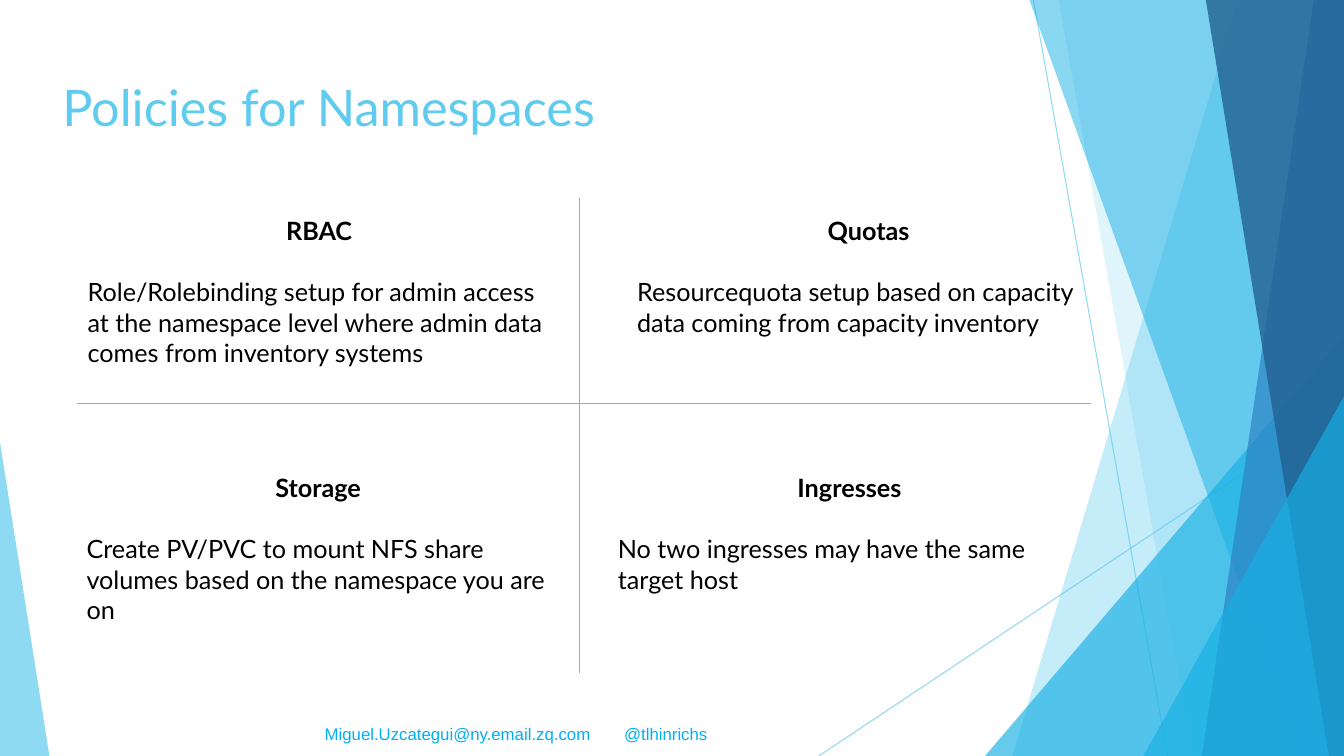
"""Build the slide on policies for namespaces."""
from dataclasses import dataclass

from lxml import etree
from pptx import Presentation
from pptx.dml.color import RGBColor
from pptx.enum.shapes import MSO_CONNECTOR, MSO_SHAPE
from pptx.enum.text import PP_ALIGN
from pptx.oxml.ns import qn
from pptx.util import Emu, Pt

PX = 9144
WIDTH, HEIGHT = 1333, 750
STRAIGHT = MSO_CONNECTOR.STRAIGHT
TRIANGLE = MSO_SHAPE.ISOSCELES_TRIANGLE
LEFT, CENTER = PP_ALIGN.LEFT, PP_ALIGN.CENTER
SKY, AZURE, BLUE, NAVY = "5FCBEF", "17B0E4", "2E83C3", "226292"
BLACK, GREY, FOOTER_BLUE = "000000", "A6A6A6", "00B0F0"


@dataclass(frozen=True)
class Line:
    start: tuple[int, int]
    end: tuple[int, int]
    color: str
    opacity: int = 100


@dataclass(frozen=True)
class Band:
    top_x: int
    bottom_x: int
    color: str
    opacity: int


@dataclass(frozen=True)
class Wedge:
    left: int
    top: int
    width: int
    apex: int
    color: str
    opacity: int


@dataclass(frozen=True)
class Policy:
    left: int
    top: int
    height: int
    heading: str
    detail: str


BACKDROP_LINES = [
    Line((1025, 0), (1158, HEIGHT), SKY, 70),
    Line((WIDTH, 403), (812, HEIGHT), SKY, 70),
]
FACETS = [
    Band(1228, 1004, SKY, 36),
    Band(1050, 1183, SKY, 20),
    Wedge(977, 333, 356, 1, AZURE, 66),
    Band(1021, 1291, AZURE, 50),
    Band(1303, 1192, BLUE, 70),
    Band(1196, 1318, NAVY, 80),
    Wedge(1134, 393, 199, 1, AZURE, 66),
    Wedge(0, 439, 49, 0, SKY, 70),
]
POLICIES = [
    Policy(77, 209, 162, "RBAC",
           "Role/Rolebinding setup for admin access at the namespace level "
           "where admin data comes from inventory systems"),
    Policy(622, 209, 131, "Quotas",
           "Resourcequota setup based on capacity data coming from capacity inventory"),
    Policy(76, 464, 162, "Storage",
           "Create PV/PVC to mount NFS share volumes based on the namespace you are on"),
    Policy(603, 464, 131, "Ingresses",
           "No two ingresses may have the same target host"),
]
DIVIDERS = [
    Line((575, 196), (575, 668), GREY),
    Line((76, 400), (1082, 400), GREY),
]


def px(length: int) -> Emu:
    """Turn px into EMU."""
    return Emu(length * PX)


def paint(fill, color: str, opacity: int = 100) -> None:
    """Make a fill solid in a hex colour with the given opacity."""
    fill.solid()
    fill.fore_color.rgb = RGBColor.from_string(color)
    if opacity < 100:
        for node in fill._xPr.iter(qn("a:srgbClr")):
            etree.SubElement(node, qn("a:alpha"), val=str(opacity * 1000))


def draw_line(page, line: Line) -> None:
    """Draw a thin straight line without a shadow."""
    connector = page.shapes.add_connector(
        STRAIGHT, *(px(value) for value in line.start + line.end))
    connector.line.width = Pt(0.75)
    paint(connector.line.fill, line.color, line.opacity)
    etree.SubElement(connector._element.spPr, qn("a:effectLst"))


def draw_facet(page, facet: Band | Wedge) -> None:
    """Draw one translucent facet of the backdrop."""
    if isinstance(facet, Band):
        builder = page.shapes.build_freeform(facet.top_x, 0, scale=float(PX))
        builder.add_line_segments(
            [(WIDTH, 0), (WIDTH, HEIGHT), (facet.bottom_x, HEIGHT)], close=True)
        shape = builder.convert_to_shape()
    else:
        shape = page.shapes.add_shape(
            TRIANGLE, px(facet.left), px(facet.top),
            px(facet.width), px(HEIGHT - facet.top))
        shape.adjustments[0] = facet.apex
    shape.shadow.inherit = False
    shape.line.fill.background()
    paint(shape.fill, facet.color, facet.opacity)


def add_box(page, left: int, top: int, width: int, height: int):
    """Add a wrapping text box and return its text frame."""
    box = page.shapes.add_textbox(px(left), px(top), px(width), px(height))
    box.text_frame.word_wrap = True
    return box.text_frame


def write(para, text: str, *, size: int = 18, color: str = BLACK,
          font: str = "Lato", bold: bool = False, align=LEFT,
          before: int = 0) -> None:
    """Write formatted text into a paragraph."""
    para.alignment = align
    if before:
        para.space_before = Pt(before)
    span = para.add_run()
    span.text = text
    span.font.size = Pt(size)
    span.font.name = font
    span.font.bold = bold
    span.font.color.rgb = RGBColor.from_string(color)


def draw_policy(page, policy: Policy) -> None:
    """Draw a centred heading with its explanation below."""
    frame = add_box(page, policy.left, policy.top, 479, policy.height)
    write(frame.paragraphs[0], policy.heading, bold=True, align=CENTER)
    write(frame.add_paragraph(), policy.detail, before=22)


def draw_footer(page) -> None:
    """Draw the two contacts, the second at a tab stop."""
    frame = add_box(page, 43, 713, 939, 30)
    frame.margin_left = px(279)
    para = frame.paragraphs[0]
    stops = etree.SubElement(para._p.get_or_add_pPr(), qn("a:tabLst"))
    etree.SubElement(stops, qn("a:tab"), pos=str(px(297)), algn="l")
    write(para, "Miguel.Uzcategui@ny.email.zq.com\t@tlhinrichs",
          size=12, color=FOOTER_BLUE, font="Arial")


def main() -> None:
    """Assemble and save the deck."""
    deck = Presentation()
    deck.slide_width, deck.slide_height = px(WIDTH), px(HEIGHT)
    page = deck.slides.add_slide(deck.slide_layouts[6])
    for line in BACKDROP_LINES:
        draw_line(page, line)
    for facet in FACETS:
        draw_facet(page, facet)
    draw_footer(page)
    title = add_box(page, 52, 71, 1212, 97)
    write(title.paragraphs[0], "Policies for Namespaces", size=36, color=SKY)
    for policy in POLICIES:
        draw_policy(page, policy)
    for line in DIVIDERS:
        draw_line(page, line)
    deck.save("out.pptx")


if __name__ == "__main__":
    main()
